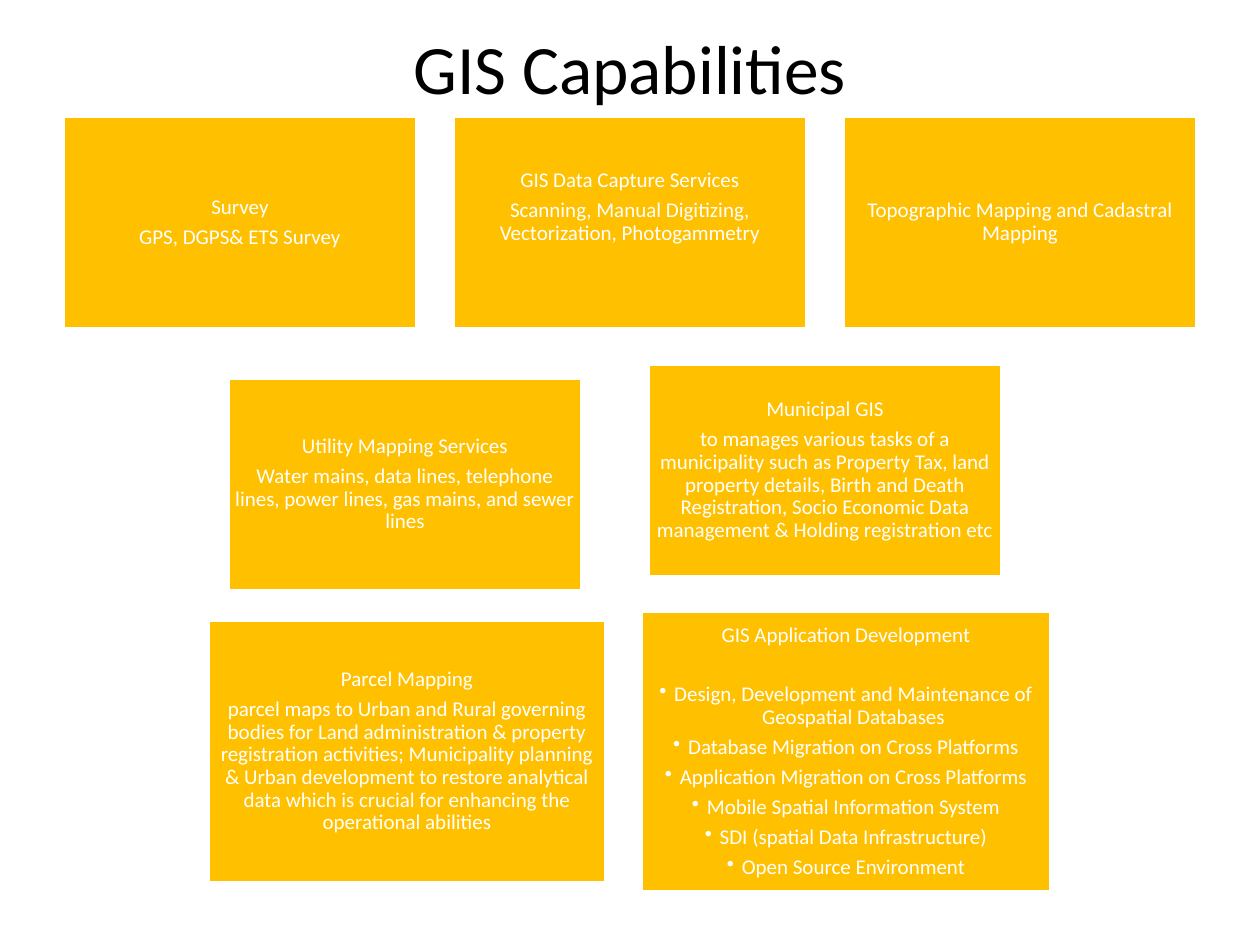
"""Build the GIS Capabilities slide."""
from dataclasses import dataclass

import lxml.etree
import pptx
import pptx.dml.color
import pptx.enum.shapes
import pptx.enum.text
import pptx.oxml.ns
import pptx.util

EMU_PER_PX = 914400 / 126
FONT = "Calibri"
WHITE, BLACK, AMBER = "FFFFFF", "000000", "FFC000"
MARGIN, GAP, TOP = 63, 36, 116
CARD_WIDTH, CARD_HEIGHT = 354, 213
INSET, BULLET_INDENT, LINE_STEP = 6, 15, 30
TEXT_SIZE, SPACE_AFTER, WIDE_SPACE = 12, 4.2, 21.3


@dataclass(frozen=True)
class Card:
    """A capability with its heading, description and bullets."""

    left: int
    top: int
    heading: str
    body: str = ""
    bullets: tuple[str, ...] = ()
    width: int = CARD_WIDTH
    height: int = CARD_HEIGHT
    lift: int = 0


def column(index: int) -> int:
    """Return the left edge of a top-row column."""
    return MARGIN + index * (CARD_WIDTH + GAP)


CARDS = (
    Card(column(0), TOP, "Survey", "GPS, DGPS& ETS Survey"),
    Card(column(1), TOP, "GIS Data Capture Services",
         "Scanning, Manual Digitizing, Vectorization, Photogammetry", lift=LINE_STEP),
    Card(column(2), TOP, "Topographic Mapping and Cadastral Mapping"),
    Card(228, 378, "Utility Mapping Services",
         "Water mains, data lines, telephone lines, power lines, gas mains, and sewer lines"),
    Card(648, 364, "Municipal GIS",
         "to manages various tasks of a municipality such as Property Tax, land property "
         "details, Birth and Death Registration, Socio Economic Data management & Holding "
         "registration etc"),
    Card(208, 620, "Parcel Mapping",
         "parcel maps to Urban and Rural governing bodies for Land administration & property "
         "registration activities; Municipality planning & Urban development to restore "
         "analytical data which is crucial for enhancing the operational abilities",
         width=398, height=263),
    Card(641, 611, "GIS Application Development",
         bullets=("Design, Development and Maintenance of Geospatial Databases",
                  "Database Migration on Cross Platforms",
                  "Application Migration on Cross Platforms",
                  "Mobile Spatial Information System",
                  "SDI (spatial Data Infrastructure)",
                  "Open Source Environment"),
         width=410, height=281),
)


def px(length: int) -> pptx.util.Emu:
    """Convert pixels to EMU."""
    return pptx.util.Emu(round(length * EMU_PER_PX))


def color(value: str) -> pptx.dml.color.RGBColor:
    """Convert a hex string to a colour."""
    return pptx.dml.color.RGBColor.from_string(value)


def add_span(para, text: str, size: float, ink: str) -> None:
    """Add one centred, formatted run to a paragraph."""
    para.alignment = pptx.enum.text.PP_ALIGN.CENTER
    span = para.add_run()
    span.text = text
    span.font.name = FONT
    span.font.size = pptx.util.Pt(size)
    span.font.color.rgb = color(ink)


def add_bullet(para) -> None:
    """Give a paragraph a round bullet with a hanging indent."""
    properties = para._p.get_or_add_pPr()
    properties.set("marL", str(px(BULLET_INDENT)))
    properties.set("indent", str(-px(BULLET_INDENT)))
    bullet = lxml.etree.SubElement(properties, pptx.oxml.ns.qn("a:buChar"))
    bullet.set("char", "•")


def add_title(page, text: str) -> None:
    """Place and format the title placeholder."""
    title = page.shapes.title
    title.left, title.top, title.width, title.height = map(px, (63, 38, 1134, 57))
    frame = title.text_frame
    frame.vertical_anchor = pptx.enum.text.MSO_ANCHOR.MIDDLE
    frame.auto_size = pptx.enum.text.MSO_AUTO_SIZE.NONE
    add_span(frame.paragraphs[0], text, 39.6, BLACK)


def add_card(page, card: Card) -> None:
    """Draw a card and its paragraphs."""
    box = page.shapes.add_shape(
        pptx.enum.shapes.MSO_SHAPE.RECTANGLE,
        *map(px, (card.left, card.top, card.width, card.height)))
    box.shadow.inherit = False
    box.fill.solid()
    box.fill.fore_color.rgb = color(AMBER)
    box.line.color.rgb = color(WHITE)
    box.line.width = pptx.util.Pt(2)
    frame = box.text_frame
    frame.word_wrap = True
    frame.vertical_anchor = pptx.enum.text.MSO_ANCHOR.MIDDLE
    frame.margin_left = frame.margin_right = frame.margin_top = px(INSET)
    frame.margin_bottom = px(INSET + card.lift)
    plain = [text for text in (card.heading, card.body) if text]
    for index, text in enumerate((*plain, *card.bullets)):
        para = frame.add_paragraph() if index else frame.paragraphs[0]
        if index >= len(plain):
            add_bullet(para)
        para.line_spacing = 0.9
        wide = index == 0 and card.bullets
        para.space_after = pptx.util.Pt(WIDE_SPACE if wide else SPACE_AFTER)
        add_span(para, text, TEXT_SIZE, WHITE)


def main() -> None:
    """Build and save the deck."""
    deck = pptx.Presentation()
    deck.slide_width, deck.slide_height = px(1260), px(945)
    page = deck.slides.add_slide(deck.slide_layouts[5])
    add_title(page, "GIS Capabilities")
    for card in CARDS:
        add_card(page, card)
    deck.save("out.pptx")


if __name__ == "__main__":
    main()
